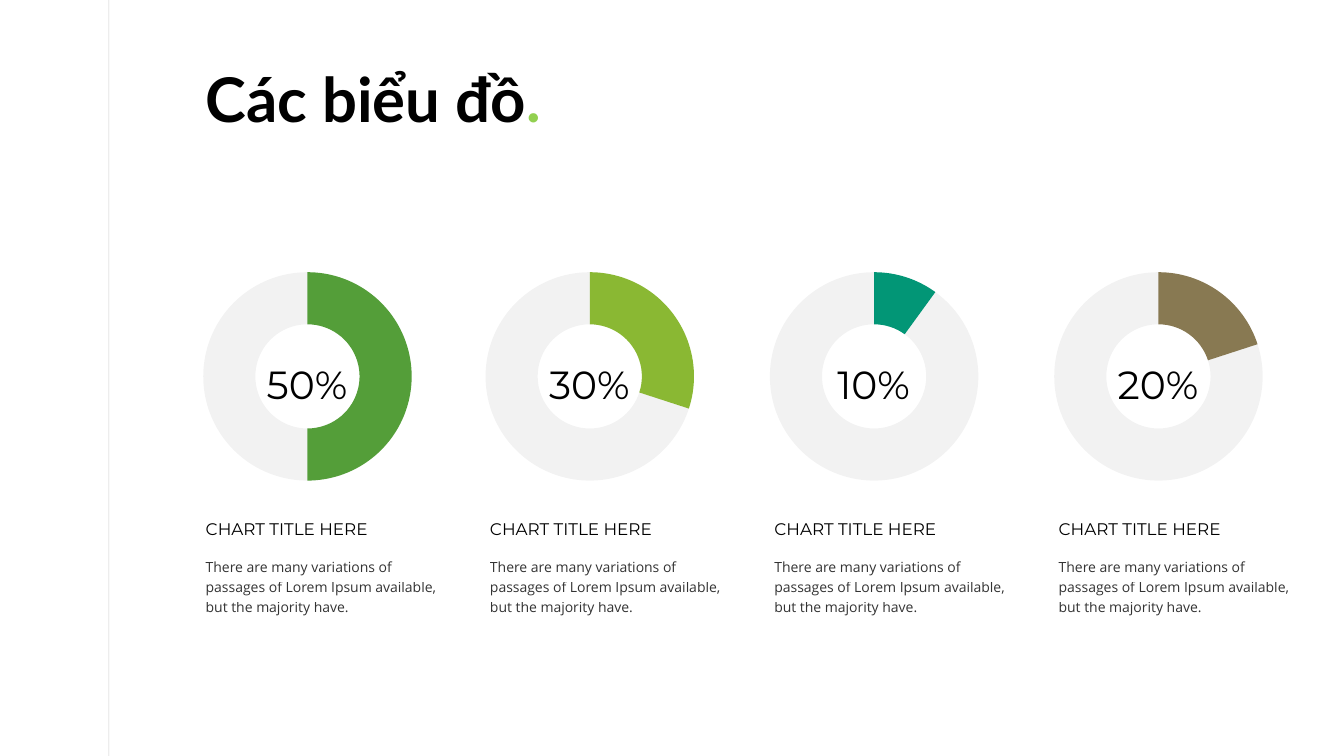
from dataclasses import dataclass

import pptx
import pptx.chart.data
import pptx.dml.color
import pptx.enum.chart
import pptx.enum.shapes
import pptx.enum.text
import pptx.oxml
import pptx.oxml.ns
import pptx.util

RGB = pptx.dml.color.RGBColor
ANCHOR = pptx.enum.text.MSO_ANCHOR
ALIGN = pptx.enum.text.PP_ALIGN
AUTO = pptx.enum.text.MSO_AUTO_SIZE
qn = pptx.oxml.ns.qn

BLACK = RGB(0x00, 0x00, 0x00)
LIME_DOT = RGB(0x92, 0xD0, 0x50)
GREEN = RGB(0x54, 0x9E, 0x39)
LIME = RGB(0x8A, 0xB8, 0x33)
TEAL = RGB(0x02, 0x96, 0x76)
BROWN = RGB(0x88, 0x79, 0x52)

SCALE = 9144  # EMU per px, 100 px to the inch
COLUMN_LEFT, COLUMN_PITCH = 204, 282
HEADING = "CHART TITLE HERE"
BODY = ("There are many variations of passages of Lorem Ipsum available, "
        "but the majority have.")


@dataclass(frozen=True)
class Ring:
    percent: int
    color: RGB
    left: int


@dataclass(frozen=True)
class Style:
    font: dict
    paragraph: dict
    frame: dict
    insets: tuple[int, int, int, int]  # left, top, right, bottom


RINGS = [Ring(50, GREEN, 156), Ring(30, LIME, 436),
         Ring(10, TEAL, 718), Ring(20, BROWN, 1000)]

TITLE_STYLE = Style(
    {"name": "Lato", "size": pptx.util.Pt(44), "bold": True},
    {"line_spacing": 0.8}, {"vertical_anchor": ANCHOR.TOP}, (0, 21, 0, 0))
PERCENT_STYLE = Style(
    {"name": "Montserrat", "size": pptx.util.Pt(28)},
    {"line_spacing": 1.45, "alignment": ALIGN.CENTER},
    {"vertical_anchor": ANCHOR.MIDDLE}, (10, 0, 10, 5))
HEADING_STYLE = Style(
    {"name": "Montserrat", "size": pptx.util.Pt(12)},
    {"line_spacing": 0.7}, {"auto_size": AUTO.SHAPE_TO_FIT_TEXT}, (0, 5, 0, 5))
BODY_STYLE = Style(
    {"name": "Open Sans", "size": pptx.util.Pt(10)},
    {"line_spacing": 1.2}, {"auto_size": AUTO.SHAPE_TO_FIT_TEXT}, (0, 5, 0, 5))


def px(*lengths: int) -> list[int]:
    return [pptx.util.Emu(n * SCALE) for n in lengths]


def apply(target, values: dict) -> None:
    for name, value in values.items():
        setattr(target, name, value)


def fade_black(root, opacity: int) -> None:
    """Give every black colour under root an opacity in percent."""
    for clr in root.iter(qn("a:srgbClr")):
        if clr.get("val") == str(BLACK):
            alpha = clr.makeelement(qn("a:alpha"), {"val": str(opacity * 1000)})
            clr.append(alpha)


def add_text(s, box: tuple[int, int, int, int], runs: list[tuple[str, RGB]],
             style: Style):
    sp = s.shapes.add_textbox(*px(*box))
    tf = sp.text_frame
    sides = ("margin_left", "margin_top", "margin_right", "margin_bottom")
    apply(tf, {"word_wrap": True, **style.frame,
               **dict(zip(sides, px(*style.insets)))})
    p = tf.paragraphs[0]
    apply(p, style.paragraph)
    for text, color in runs:
        r = p.add_run()
        r.text = text
        apply(r.font, style.font)
        r.font.color.rgb = color
    return sp


def add_ring(s, ring: Ring) -> None:
    data = pptx.chart.data.CategoryChartData()
    data.categories = ["1", "2"]
    data.add_series("Series 1", (ring.percent, 100 - ring.percent))
    chart = s.shapes.add_chart(pptx.enum.chart.XL_CHART_TYPE.DOUGHNUT,
                               *px(ring.left, 256, 298, 235), data).chart
    apply(chart, {"has_legend": False, "has_title": False})
    apply(chart.font, {"name": "Open Sans", "size": pptx.util.Pt(10)})
    chart.font.color.rgb = BLACK

    plot = chart.plots[0]
    plot.vary_by_categories = True
    plot.has_data_labels = False
    series = plot.series[0]
    for i, color in enumerate((ring.color, BLACK)):
        fmt = series.points[i].format
        fmt.fill.solid()
        fmt.fill.fore_color.rgb = color
        fmt.line.fill.background()
    fade_black(series._element, 5)

    # Hole size and plot area placement
    root = chart._chartSpace
    next(root.iter(qn("c:holeSize"))).set("val", "80")
    area = next(root.iter(qn("c:plotArea")))
    for old in area.findall(qn("c:layout")):
        area.remove(old)
    parts = {"layoutTarget": "inner", "xMode": "edge", "yMode": "edge",
             "x": 0.15, "y": 0.06, "w": 0.7, "h": 0.88}
    body = "".join(f'<c:{k} val="{v}"/>' for k, v in parts.items())
    area.insert(0, pptx.oxml.parse_xml(
        f'<c:layout {pptx.oxml.ns.nsdecls("c")}>'
        f"<c:manualLayout>{body}</c:manualLayout></c:layout>"))


def add_margin_rule(s) -> None:
    line = s.shapes.add_connector(pptx.enum.shapes.MSO_CONNECTOR.STRAIGHT,
                                  *px(108, 0, 108, 750))
    line.line.width = pptx.util.Pt(0.5)
    line.line.color.rgb = BLACK
    sp_pr = line._element.spPr
    fade_black(sp_pr, 20)
    sp_pr.append(sp_pr.makeelement(qn("a:effectLst"), {}))


def main() -> None:
    prs = pptx.Presentation()
    prs.slide_width, prs.slide_height = px(1333, 750)
    s = prs.slides.add_slide(prs.slide_layouts[6])

    # Margin rule and title
    add_margin_rule(s)
    add_text(s, (204, 54, 462, 177),
             [("Các biểu đồ", BLACK), (".", LIME_DOT)], TITLE_STYLE)

    # Rings with their percentages
    for ring in RINGS:
        add_ring(s, ring)
        add_text(s, (ring.left + 85, 344, 127, 57),
                 [(f"{ring.percent}%", BLACK)], PERCENT_STYLE)

    # Captions
    for i in range(len(RINGS)):
        left = COLUMN_LEFT + i * COLUMN_PITCH
        add_text(s, (left, 515, 235, 26), [(HEADING, BLACK)], HEADING_STYLE)
        sp = add_text(s, (left, 546, 232, 71), [(BODY, BLACK)], BODY_STYLE)
        fade_black(sp._element, 80)

    prs.save("out.pptx")


if __name__ == "__main__":
    main()
